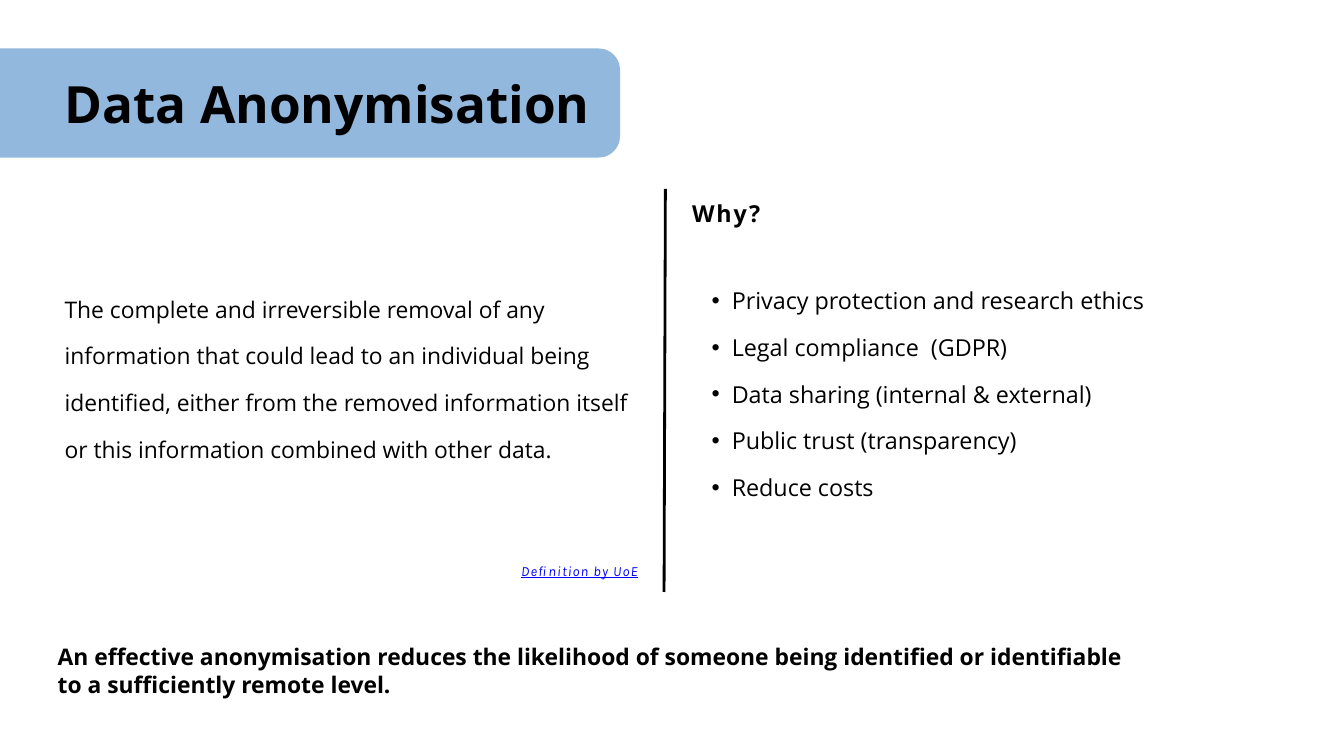
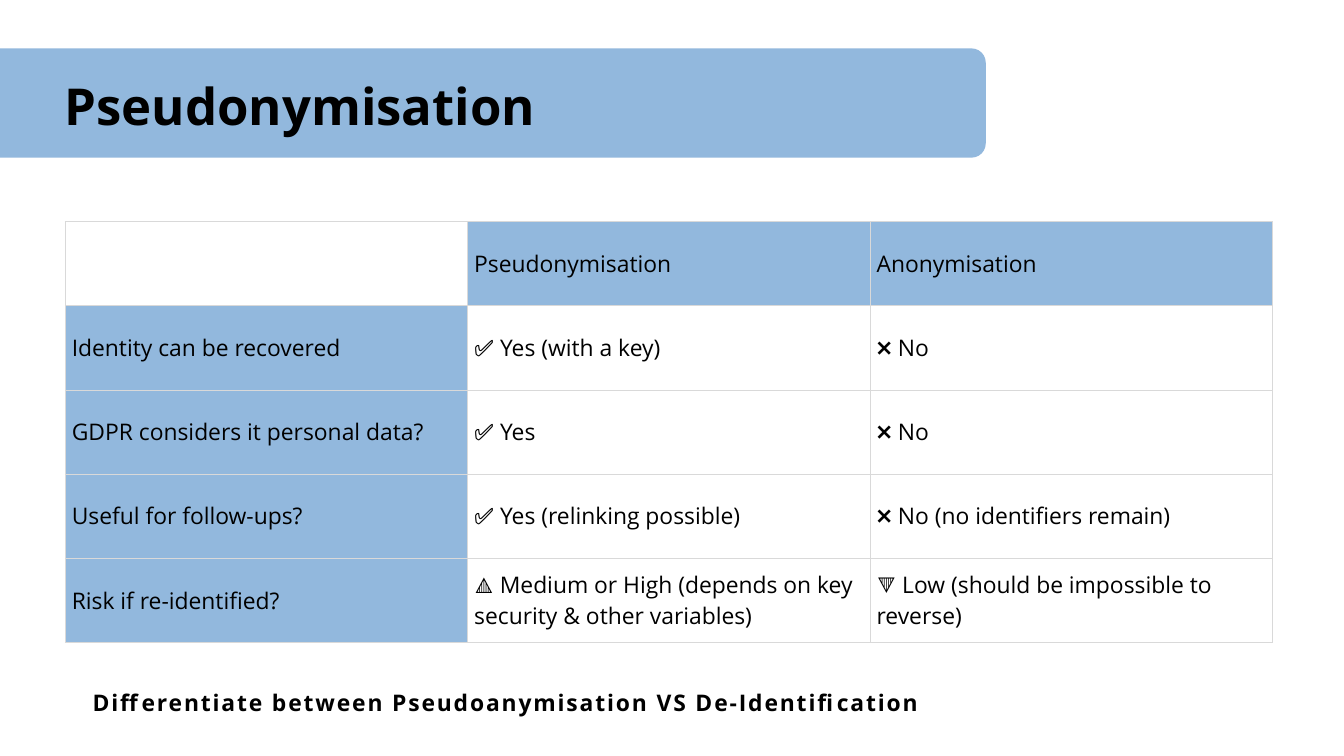
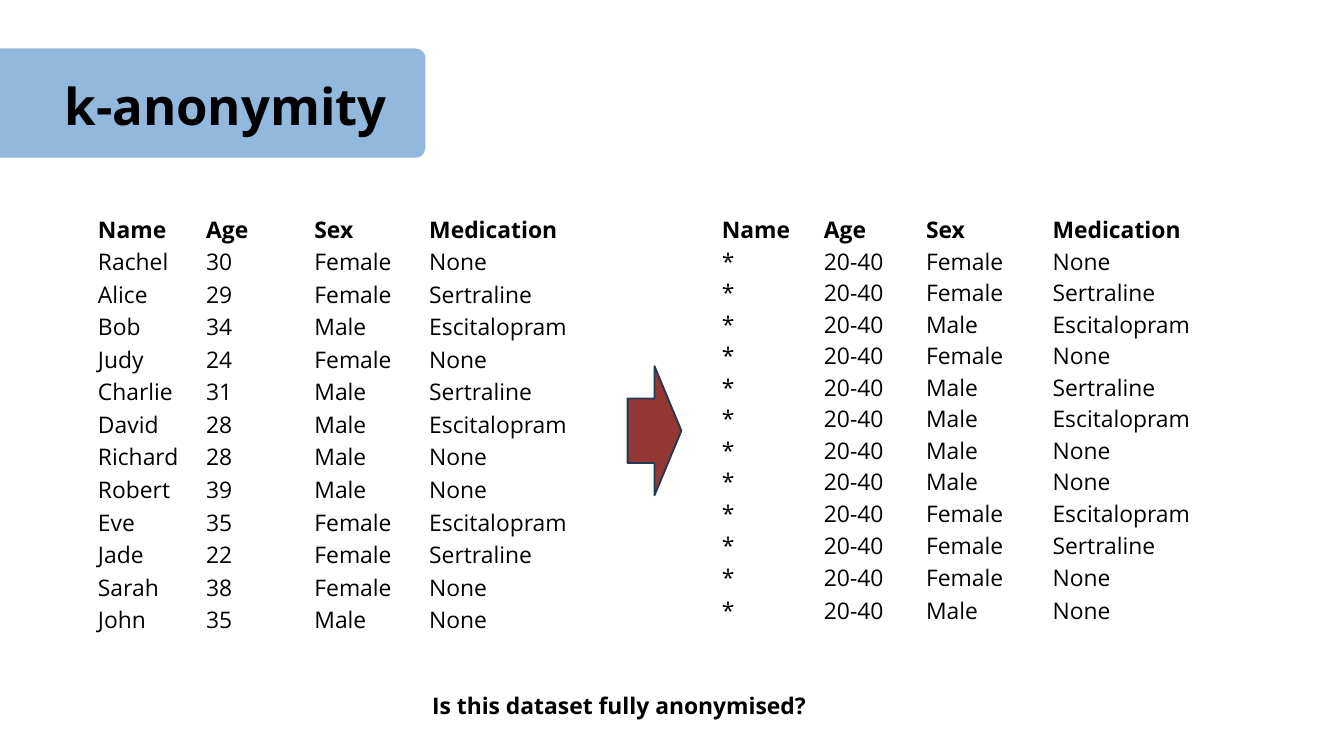
from dataclasses import dataclass, field
from typing import Any, Optional

from lxml.etree import SubElement
from pptx import Presentation
from pptx.dml.color import RGBColor
from pptx.enum.shapes import MSO_CONNECTOR, MSO_SHAPE
from pptx.enum.text import MSO_ANCHOR, MSO_AUTO_SIZE, PP_ALIGN
from pptx.oxml import parse_xml
from pptx.oxml.ns import nsdecls, qn
from pptx.util import Cm, Pt


@dataclass(frozen=True)
class Theme:
    black: str = "000000"
    white: str = "FFFFFF"
    blue: str = "92B8DD"
    grid: str = "D9D9D9"
    link: str = "0000FF"
    arrow: str = "953735"
    arrow_line: str = "233953"
    font: str = "Open Sans"
    link_font: str = "Karla"
    title: float = 54.5
    large_title: float = 55
    body: float = 24.5
    large_body: float = 25
    small: float = 15


THEME = Theme()


@dataclass(frozen=True)
class Header:
    title: str
    band_width: float
    corner: float
    text_format: dict[str, Any] = field(default_factory=dict)


@dataclass(frozen=True)
class TextBox:
    left: float
    top: float
    width: float
    height: float
    paragraphs: tuple[str, ...]
    text_format: dict[str, Any] = field(default_factory=dict)
    padded: bool = False


@dataclass(frozen=True)
class Grid:
    left: float
    top: float
    columns: tuple[float, ...]
    row_heights: tuple[float, ...]
    rows: tuple[tuple[str, ...], ...]
    border: str
    border_width: float
    label_fill: Optional[str] = None
    bold_header: bool = False
    line_spacing: Optional[float] = None
    vertical_margin: float = 0.13


COMPARISON = (
    ("", "Pseudonymisation", "Anonymisation"),
    ("Identity can be recovered", "✅ Yes (with a key)", "❌ No"),
    ("GDPR considers it personal data?", "✅ Yes", "❌ No"),
    ("Useful for follow-ups?", "✅ Yes (relinking possible)", "❌ No (no identifiers remain)"),
    (
        "Risk if re-identified?",
        "🔺 Medium or High (depends on key security & other variables)",
        "🔻 Low (should be impossible to reverse)",
    ),
)
PATIENT_FIELDS = ("Name", "Age", "Sex", "Medication")
PATIENTS = (
    ("Rachel", "30", "Female", "None"),
    ("Alice", "29", "Female", "Sertraline"),
    ("Bob", "34", "Male", "Escitalopram"),
    ("Judy", "24", "Female", "None"),
    ("Charlie", "31", "Male", "Sertraline"),
    ("David", "28", "Male", "Escitalopram"),
    ("Richard", "28", "Male", "None"),
    ("Robert", "39", "Male", "None"),
    ("Eve", "35", "Female", "Escitalopram"),
    ("Jade", "22", "Female", "Sertraline"),
    ("Sarah", "38", "Female", "None"),
    ("John", "35", "Male", "None"),
)
GENERALISED = tuple(("*", "20-40", sex, medication) for _, _, sex, medication in PATIENTS)


def color(value: str) -> RGBColor:
    return RGBColor.from_string(value)


def write_text(
    paragraph,
    text: str,
    *,
    size: float = THEME.body,
    font: str = THEME.font,
    text_color: str = THEME.black,
    bold: bool = False,
    italic: bool = False,
    underline: bool = False,
    tracking: float = 0,
    line_spacing: Optional[float] = None,
    align: PP_ALIGN = PP_ALIGN.LEFT,
    bullet: bool = False,
) -> None:
    if bullet:
        paragraph.level = 1
        properties = paragraph._p.get_or_add_pPr()
        properties.set("marL", str(Cm(1.5)))
        properties.set("indent", str(Cm(-0.76)))
        SubElement(properties, qn("a:buFont")).set("typeface", "Arial")
        SubElement(properties, qn("a:buChar")).set("char", "•")
    paragraph.alignment = align
    if line_spacing:
        paragraph.line_spacing = Pt(line_spacing)
    run = paragraph.add_run()
    run.text = text
    run.font.name = font
    run.font.size = Pt(size)
    run.font.bold = bold
    run.font.italic = italic
    run.font.underline = underline
    run.font.color.rgb = color(text_color)
    if tracking:
        run._r.get_or_add_rPr().set("spc", str(round(tracking * 100)))


def add_text_box(slide, box: TextBox) -> None:
    shape = slide.shapes.add_textbox(Cm(box.left), Cm(box.top), Cm(box.width), Cm(box.height))
    frame = shape.text_frame
    frame.word_wrap = True
    frame.auto_size = MSO_AUTO_SIZE.SHAPE_TO_FIT_TEXT
    if not box.padded:
        frame.margin_left = frame.margin_right = frame.margin_top = frame.margin_bottom = 0
    for index, text in enumerate(box.paragraphs):
        paragraph = frame.add_paragraph() if index else frame.paragraphs[0]
        write_text(paragraph, text, **box.text_format)


def add_header(slide, header: Header) -> None:
    band = slide.shapes.add_shape(
        MSO_SHAPE.ROUNDED_RECTANGLE, Cm(-5.08), Cm(1.83), Cm(header.band_width), Cm(4.13)
    )
    band.adjustments[0] = header.corner
    band.shadow.inherit = False
    band.fill.solid()
    band.fill.fore_color.rgb = color(THEME.blue)
    band.line.fill.background()
    title_format = {"size": THEME.title, "bold": True, **header.text_format}
    add_text_box(slide, TextBox(2.44, 2.82, 33.93, 2.36, (header.title,), title_format))


def add_divider(slide) -> None:
    divider = slide.shapes.add_connector(
        MSO_CONNECTOR.STRAIGHT, Cm(25.15), Cm(7.14), Cm(25.1), Cm(22.38)
    )
    divider.line.color.rgb = color(THEME.black)
    divider.line.width = Pt(3)
    SubElement(divider._element.spPr, qn("a:effectLst"))


def add_arrow(slide) -> None:
    arrow = slide.shapes.add_shape(MSO_SHAPE.DOWN_ARROW, Cm(22.3), Cm(15.27), Cm(4.88), Cm(2.03))
    arrow.rotation = 270
    arrow.shadow.inherit = False
    arrow.fill.solid()
    arrow.fill.fore_color.rgb = color(THEME.arrow)
    arrow.line.color.rgb = color(THEME.arrow_line)
    arrow.line.width = Pt(2)


def set_borders(cell, border: str, width: float) -> None:
    properties = cell._tc.get_or_add_tcPr()
    for index, side in enumerate(("lnL", "lnR", "lnT", "lnB")):
        line = parse_xml(
            f'<a:{side} {nsdecls("a")} w="{Pt(width)}"><a:solidFill>'
            f'<a:srgbClr val="{border}"/></a:solidFill></a:{side}>'
        )
        properties.insert(index, line)


def add_grid(slide, grid: Grid) -> None:
    table = slide.shapes.add_table(
        len(grid.rows),
        len(grid.columns),
        Cm(grid.left),
        Cm(grid.top),
        Cm(sum(grid.columns)),
        Cm(sum(grid.row_heights)),
    ).table
    table.first_row = table.horz_banding = False
    for column, width in zip(table.columns, grid.columns):
        column.width = Cm(width)
    for row_index, (row, height) in enumerate(zip(grid.rows, grid.row_heights)):
        table.rows[row_index].height = Cm(height)
        for column_index, text in enumerate(row):
            cell = table.cell(row_index, column_index)
            cell.vertical_anchor = MSO_ANCHOR.MIDDLE
            cell.margin_top = cell.margin_bottom = Cm(grid.vertical_margin)
            is_label = (row_index == 0) != (column_index == 0)
            if grid.label_fill:
                cell.fill.solid()
                cell.fill.fore_color.rgb = color(grid.label_fill if is_label else THEME.white)
            else:
                cell.fill.background()
            set_borders(cell, grid.border, grid.border_width)
            if text:
                write_text(
                    cell.text_frame.paragraphs[0],
                    text,
                    bold=grid.bold_header and row_index == 0,
                    line_spacing=grid.line_spacing,
                )


def patient_grid(
    left: float,
    columns: tuple[float, ...],
    row_heights: tuple[float, ...],
    patients: tuple[tuple[str, ...], ...],
) -> Grid:
    return Grid(
        left, 8.26, columns, row_heights, (PATIENT_FIELDS, *patients), THEME.white, 1,
        bold_header=True, line_spacing=21.8, vertical_margin=0.1,
    )


def build_anonymisation(slide) -> None:
    add_header(
        slide,
        Header("Data Anonymisation", 28.52, 0.2, {"size": THEME.large_title, "line_spacing": 63.2}),
    )
    add_divider(slide)
    reasons = (
        "Privacy protection and research ethics",
        "Legal compliance  (GDPR)",
        "Data sharing (internal & external)",
        "Public trust (transparency)",
        "Reduce costs",
    )
    definition = (
        "The complete and irreversible removal of any information that could lead to an "
        "individual being identified, either from the removed information itself or this "
        "information combined with other data."
    )
    conclusion = (
        "An effective anonymisation reduces the likelihood of someone being identified or "
        "identifiable to a sufficiently remote level."
    )
    large = {"size": THEME.large_body, "line_spacing": 50}
    citation = {
        "size": THEME.small, "font": THEME.link_font, "text_color": THEME.link, "italic": True,
        "underline": True, "tracking": 1.2, "line_spacing": 18.8, "align": PP_ALIGN.RIGHT,
    }
    for box in (
        TextBox(26.16, 10.13, 19.86, 8.69, reasons, {**large, "bullet": True}),
        TextBox(26.16, 6.81, 23.14, 1.57, ("Why?",), {**large, "bold": True, "tracking": 2}),
        TextBox(2.44, 10.44, 22.15, 6.91, (definition,), {"line_spacing": 50}),
        TextBox(18.57, 21.23, 5.54, 0.64, ("Definition by UoE",), citation),
        TextBox(1.93, 24.18, 41.22, 2.36, (conclusion,), {"bold": True}, padded=True),
    ):
        add_text_box(slide, box)


def build_pseudonymisation(slide) -> None:
    add_header(slide, Header("Pseudonymisation", 42.34, 0.13))
    add_grid(
        slide,
        Grid(
            2.46, 8.38, (15.21,) * 3, (3.18,) * 5, COMPARISON, THEME.grid, 0.75,
            label_fill=THEME.blue,
        ),
    )
    prompt = "Differentiate between Pseudoanymisation VS De-Identification"
    prompt_format = {"bold": True, "tracking": 2}
    add_text_box(slide, TextBox(3.25, 25.91, 42.37, 1.3, (prompt,), prompt_format, padded=True))


def build_k_anonymity(slide) -> None:
    add_header(slide, Header("k-anonymity", 21.16, 0.09))
    generalised_heights = (1.23,) + (1.19,) * 9 + (1.23,) * 3
    add_grid(slide, patient_grid(27.03, (3.86, 3.86, 4.78, 8.61), generalised_heights, GENERALISED))
    add_grid(slide, patient_grid(3.45, (4.09, 4.09, 4.34, 9.83), (1.23,) * 13, PATIENTS))
    add_arrow(slide)
    question = "Is this dataset fully anonymised?"
    add_text_box(slide, TextBox(16.08, 26.04, 17.17, 1.3, (question,), {"bold": True}, padded=True))


def main() -> None:
    presentation = Presentation()
    presentation.slide_width = Cm(50.8)
    presentation.slide_height = Cm(28.58)
    blank = presentation.slide_layouts[6]
    for build in (build_anonymisation, build_pseudonymisation, build_k_anonymity):
        build(presentation.slides.add_slide(blank))
    presentation.save("out.pptx")


if __name__ == "__main__":
    main()
